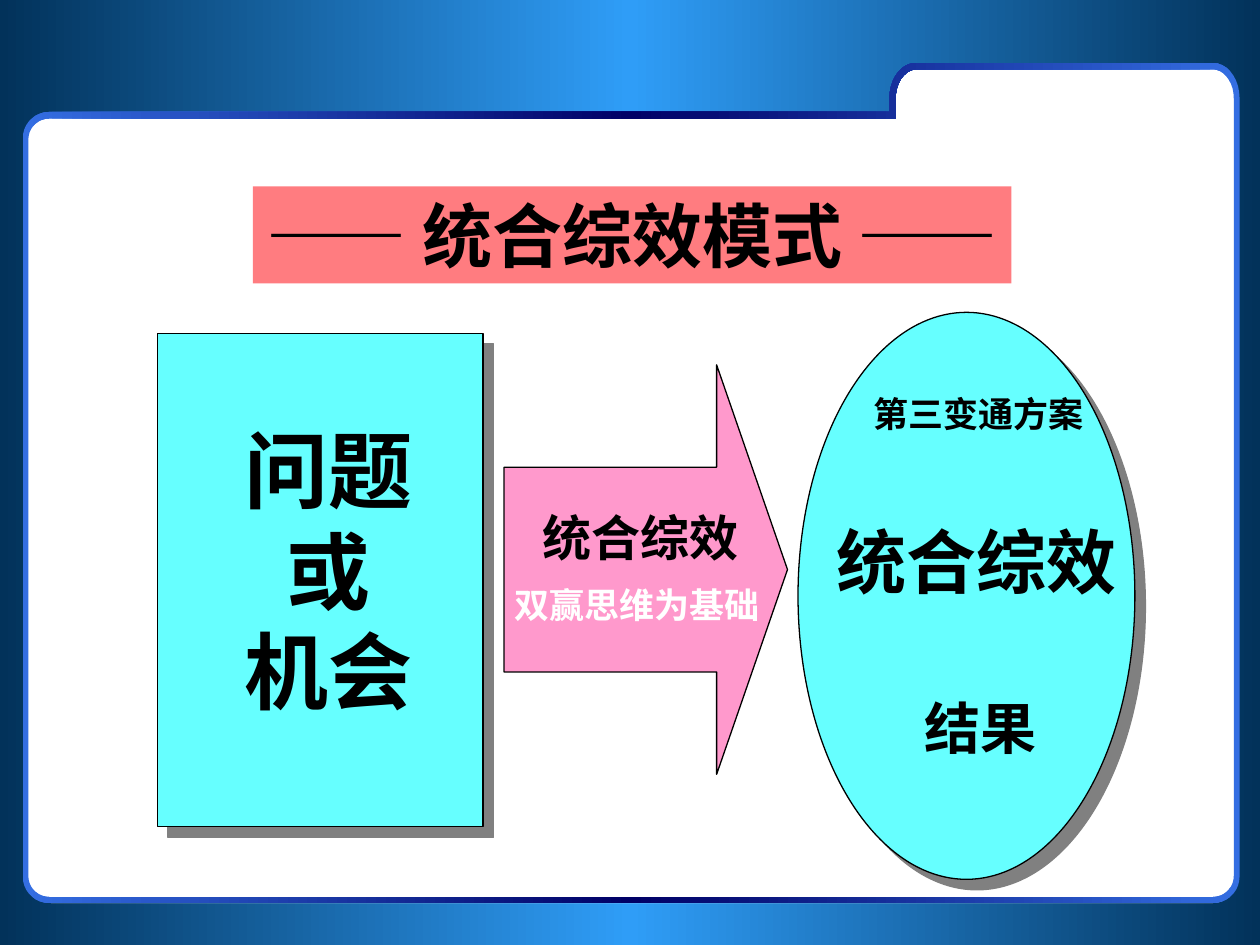
from copy import deepcopy
from math import cos, radians, sin

from pptx import Presentation
from pptx.dml.color import RGBColor as Rgb
from pptx.enum.shapes import MSO_SHAPE as Kind
from pptx.enum.text import MSO_ANCHOR as Anchor, MSO_AUTO_SIZE as Fit, PP_ALIGN as Align
from pptx.oxml import parse_xml
from pptx.oxml.ns import nsdecls, qn
from pptx.util import Pt

FONT = "Noto Sans CJK SC"
HUES = {
    "edge": "02325A", "glow": "2F9DF7", "rim": "346EE2", "navy": "000066",
    "white": "FFFFFF", "black": "000000", "gray": "808080",
    "aqua": "66FFFF", "pink": "FF99CC", "coral": "FF7C80",
}


def tint(name):
    return Rgb.from_string(HUES[name])


def write(shape, text, size, color="black", wrap=False, before=0, fit=Fit.SHAPE_TO_FIT_TEXT):
    frame = shape.text_frame
    frame.text = text
    frame.word_wrap = wrap
    frame.auto_size = fit
    frame.vertical_anchor = Anchor.TOP
    for para in frame.paragraphs:
        para.alignment = Align.CENTER
        para.space_before = Pt(before)
        for run in para.runs:
            font = run.font
            font.size, font.bold, font.name = Pt(size), True, FONT
            font.color.rgb = tint(color)
            run._r.get_or_add_rPr().append(
                parse_xml(f'<a:ea {nsdecls("a")} typeface="{FONT}"/>'))


def arc(x, y, wide, tall, start):
    turns = [radians(start + step) for step in range(0, 91, 10)]
    return [(x + wide * cos(turn), y + tall * sin(turn)) for turn in turns]


def folder(left, top, tab, peak, right, base, curve, rise):
    return [
        (tab, top),
        *arc(tab + curve, peak + rise, curve, rise, 180),
        *arc(right - curve, peak + rise, curve, rise, 270),
        *arc(right - curve, base - curve, curve, curve, 0),
        *arc(left + curve, base - curve, curve, curve, 90),
        *arc(left + curve, top + curve, curve, curve, 180),
    ]


class Board:
    def __init__(self, deck, hues=HUES):
        self.hues = hues
        self.slide = deck.slides.add_slide(deck.slide_layouts[5])
        self.shapes = self.slide.shapes

    def paint(self, shape, fill, line=None):
        shape.shadow.inherit = False
        shape.fill.solid()
        shape.fill.fore_color.rgb = tint(fill)
        if line:
            shape.line.color.rgb = tint(line)
            shape.line.width = Pt(0.75)
        else:
            shape.line.fill.background()

    def blend(self, shape, side, mid):
        self.paint(shape, side)
        fill = shape.fill
        fill.gradient()
        fill.gradient_angle = 0
        first, last = fill.gradient_stops
        first.color.rgb, last.color.rgb = tint(side), tint(mid)
        last.position = 0.5
        stops = shape._element.spPr.find(".//" + qn("a:gsLst"))
        stops.append(deepcopy(stops[0]))
        stops[-1].set("pos", "100000")

    def shade(self, shape):
        effect = shape._element.spPr.find(qn("a:effectLst"))
        effect.append(parse_xml(
            f'<a:outerShdw {nsdecls("a")} dist="{Pt(8.5)}" dir="2700000" algn="ctr" rotWithShape="0">'
            f'<a:srgbClr val="{self.hues["gray"]}"/></a:outerShdw>'))

    def form(self, kind, *box):
        return self.shapes.add_shape(kind, *map(Pt, box))

    def block(self, kind, box, fill, deep=False):
        shape = self.form(kind, *box)
        self.paint(shape, fill, "black")
        if deep:
            self.shade(shape)
        return shape

    def trace(self, *rings):
        rings = [[(Pt(x), Pt(y)) for x, y in ring] for ring in rings]
        pen = self.shapes.build_freeform(*rings[0][0])
        pen.add_line_segments(rings[0][1:])
        for ring in rings[1:]:
            pen.move_to(*ring[0])
            pen.add_line_segments(ring[1:])
        return pen.convert_to_shape()

    def label(self, text, box, **style):
        write(self.shapes.add_textbox(*map(Pt, box)), text, **style)

    def title(self, text, box, fill, **style):
        shape = self.shapes.title
        shape.left, shape.top, shape.width, shape.height = map(Pt, box)
        shape.fill.solid()
        shape.fill.fore_color.rgb = tint(fill)
        write(shape, text, fit=Fit.NONE, **style)
        self.shapes._spTree.append(shape._element)


def main():
    deck = Presentation()
    deck.slide_width, deck.slide_height = Pt(720), Pt(540)
    board = Board(deck)

    board.blend(board.form(Kind.RECTANGLE, 0, 0, 720, 540), "edge", "glow")
    board.paint(board.trace(folder(16, 66, 510.5, 38, 706.5, 516, 13.5, 18)), "white")
    rim = board.trace(
        folder(13, 64, 508.3, 36, 708.3, 516, 15, 20),
        folder(16.2, 67.7, 511.8, 39.6, 705, 512.6, 12, 16.5))
    board.blend(rim, "rim", "navy")

    board.block(Kind.RECTANGLE, (90, 190.5, 186, 282), "aqua", deep=True)
    arrow = board.block(Kind.RIGHT_ARROW, (288, 208.5, 162, 234), "pink")
    arrow.adjustments[0], arrow.adjustments[1] = 0.5, 0.25
    board.block(Kind.OVAL, (456, 178.5, 192.5, 324), "aqua", deep=True)

    board.label("统合综效", (468, 292.5, 180, 55.5), size=40, wrap=True, before=25)
    board.label("问题\n或\n机会", (127.5, 235.5, 120, 180), size=48)
    board.label("统合综效", (300, 286.5, 132, 41), size=28)
    board.label("双赢思维为基础", (284, 330, 160, 31.5), size=20, color="white")
    board.label("结果", (512, 392.5, 96.5, 46), size=32, wrap=True, before=20)
    board.label("第三变通方案", (489, 220.5, 140, 40), size=20)
    board.title("—— 统合综效模式 ——", (144.5, 106.5, 433.5, 55.5), "coral", size=40)

    deck.save("out.pptx")


if __name__ == "__main__":
    main()
